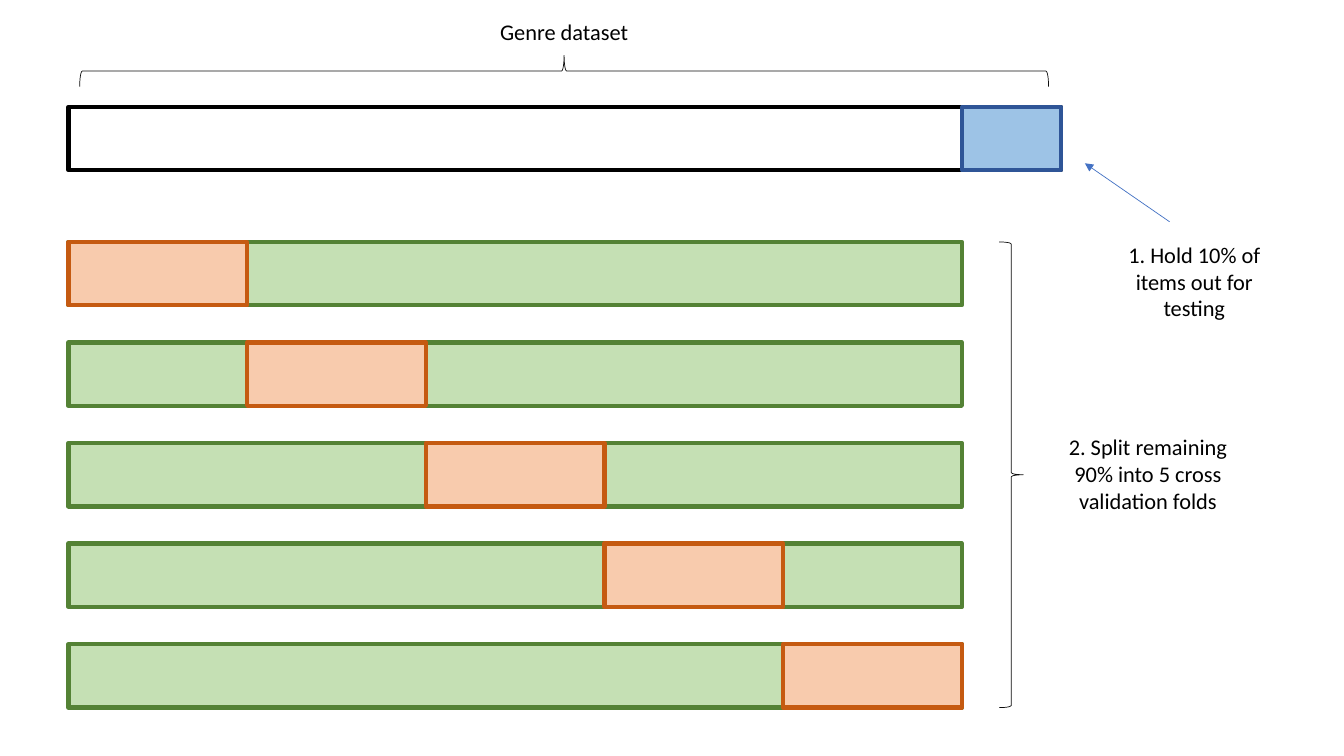
import pptx
import pptx.dml.color
import pptx.enum.shapes
import pptx.enum.text
import pptx.oxml.ns
import pptx.util
from lxml import etree

FONT, TEXT_SIZE = "Calibri", 16
BLACK, BRACE_COLOR, ARROW_COLOR = "000000", "0D0D0D", "4472C4"
# fill, outline
WHOLE_SET = (None, BLACK)
TEST_SET = ("9DC3E6", "2F5597")
TRAINING = ("C5E0B4", "548235")
VALIDATION = ("F8CBAD", "C55A11")

# text, left, top, width, height
LABELS = [
    ("Genre dataset", 4.75, 0.13, 1.69, 0.37),
    ("1. Hold 10% of items out for testing", 11, 2.34, 1.69, 0.91),
    ("2. Split remaining 90% into 5 cross validation folds", 10.48, 4.25, 1.81, 0.91),
]

FOLDS = 5
BAR_LEFT, BAR_HEIGHT = 0.68, 0.63
DATASET_TOP, DATASET_WIDTH = 1.06, 9.84
TEST_WIDTH = 0.98
FIRST_FOLD_TOP, FOLD_PITCH = 2.4, 0.9975
REMAINING_WIDTH = DATASET_WIDTH - TEST_WIDTH
FOLD_WIDTH = REMAINING_WIDTH / FOLDS
FOLDS_HEIGHT = (FOLDS - 1) * FOLD_PITCH + BAR_HEIGHT

inches = pptx.util.Inches
shape_types = pptx.enum.shapes.MSO_SHAPE


def color(hex_string):
    return pptx.dml.color.RGBColor.from_string(hex_string)


def add_outlined(slide, kind, box, fill, line, line_width):
    shape = slide.shapes.add_shape(kind, *map(inches, box))
    shape.shadow.inherit = False
    if fill:
        shape.fill.solid()
        shape.fill.fore_color.rgb = color(fill)
    else:
        shape.fill.background()
    shape.line.color.rgb = color(line)
    shape.line.width = pptx.util.Pt(line_width)
    return shape


def add_bar(slide, left, top, width, style):
    add_outlined(slide, shape_types.RECTANGLE, (left, top, width, BAR_HEIGHT), *style, 3)


def add_brace(slide, box, rotation=0):
    brace = add_outlined(slide, shape_types.RIGHT_BRACE, box, None, BRACE_COLOR, 0.5)
    brace.rotation = rotation


def add_label(slide, text, *box):
    frame = slide.shapes.add_textbox(*map(inches, box)).text_frame
    frame.word_wrap = True
    frame.auto_size = pptx.enum.text.MSO_AUTO_SIZE.SHAPE_TO_FIT_TEXT
    paragraph = frame.paragraphs[0]
    paragraph.text = text
    paragraph.alignment = pptx.enum.text.PP_ALIGN.CENTER
    paragraph.font.name = FONT
    paragraph.font.size = pptx.util.Pt(TEXT_SIZE)
    paragraph.font.color.rgb = color(BLACK)


def add_arrow(slide, start, end):
    arrow = slide.shapes.add_connector(
        pptx.enum.shapes.MSO_CONNECTOR.STRAIGHT, *map(inches, start + end))
    arrow.line.color.rgb = color(ARROW_COLOR)
    arrow.line.width = pptx.util.Pt(0.5)
    qualified = pptx.oxml.ns.qn
    etree.SubElement(arrow.line._get_or_add_ln(), qualified("a:tailEnd"), type="triangle")
    etree.SubElement(arrow._element.spPr, qualified("a:effectLst"))


def main():
    presentation = pptx.Presentation()
    presentation.slide_width = inches(13.33)
    presentation.slide_height = inches(7.5)
    slide = presentation.slides.add_slide(presentation.slide_layouts[6])

    add_bar(slide, BAR_LEFT, DATASET_TOP, DATASET_WIDTH, WHOLE_SET)
    add_bar(slide, BAR_LEFT + REMAINING_WIDTH, DATASET_TOP, TEST_WIDTH, TEST_SET)

    for fold in range(FOLDS):
        top = FIRST_FOLD_TOP + fold * FOLD_PITCH
        add_bar(slide, BAR_LEFT, top, REMAINING_WIDTH, TRAINING)
        add_bar(slide, BAR_LEFT + fold * FOLD_WIDTH, top, FOLD_WIDTH, VALIDATION)

    add_brace(slide, (5.44, -4.1, 0.31, 9.61), rotation=270)
    add_brace(slide, (9.91, FIRST_FOLD_TOP, 0.24, FOLDS_HEIGHT))
    for label in LABELS:
        add_label(slide, *label)
    add_arrow(slide, (11.6, 2.2), (10.76, 1.62))

    presentation.save("out.pptx")


if __name__ == "__main__":
    main()
